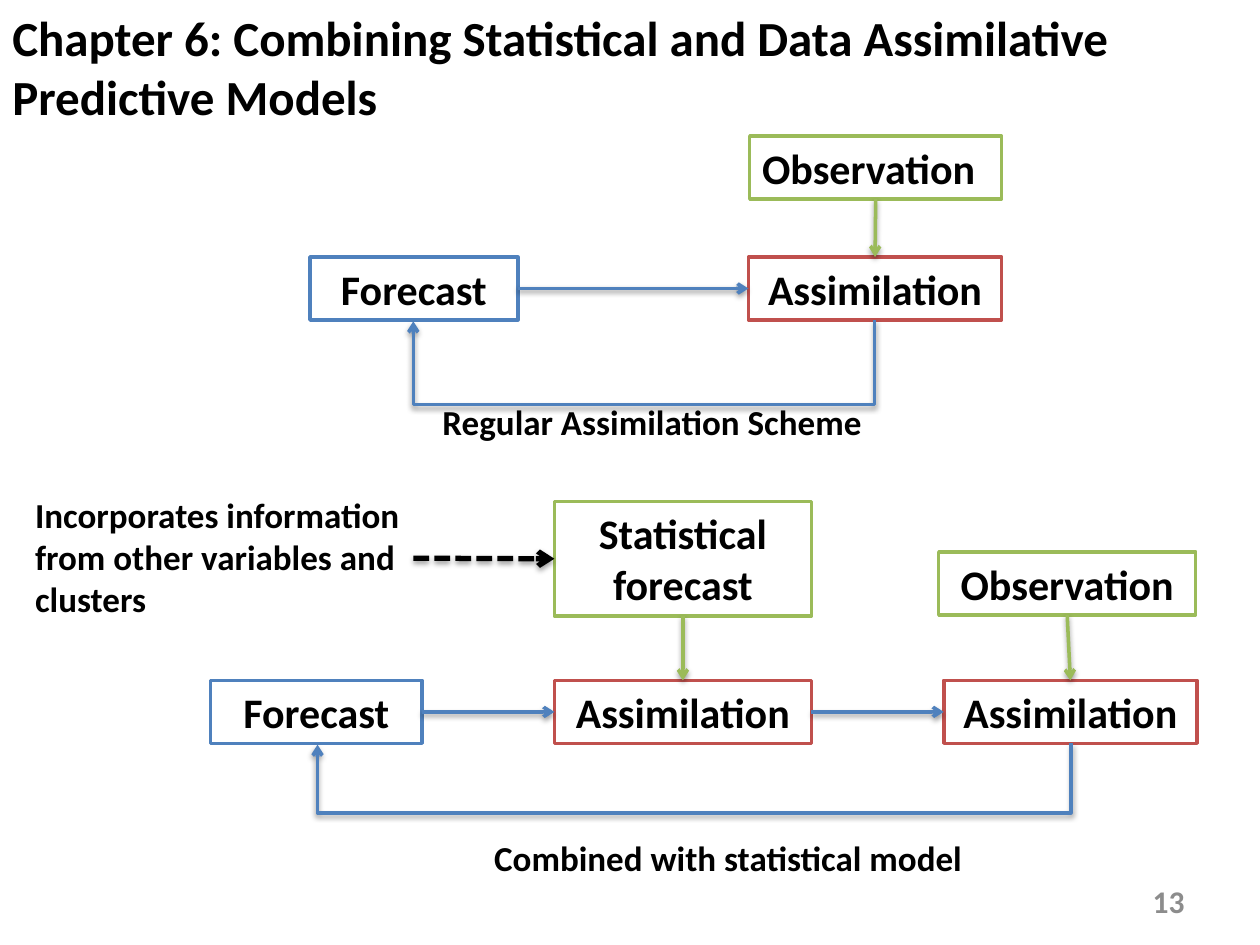
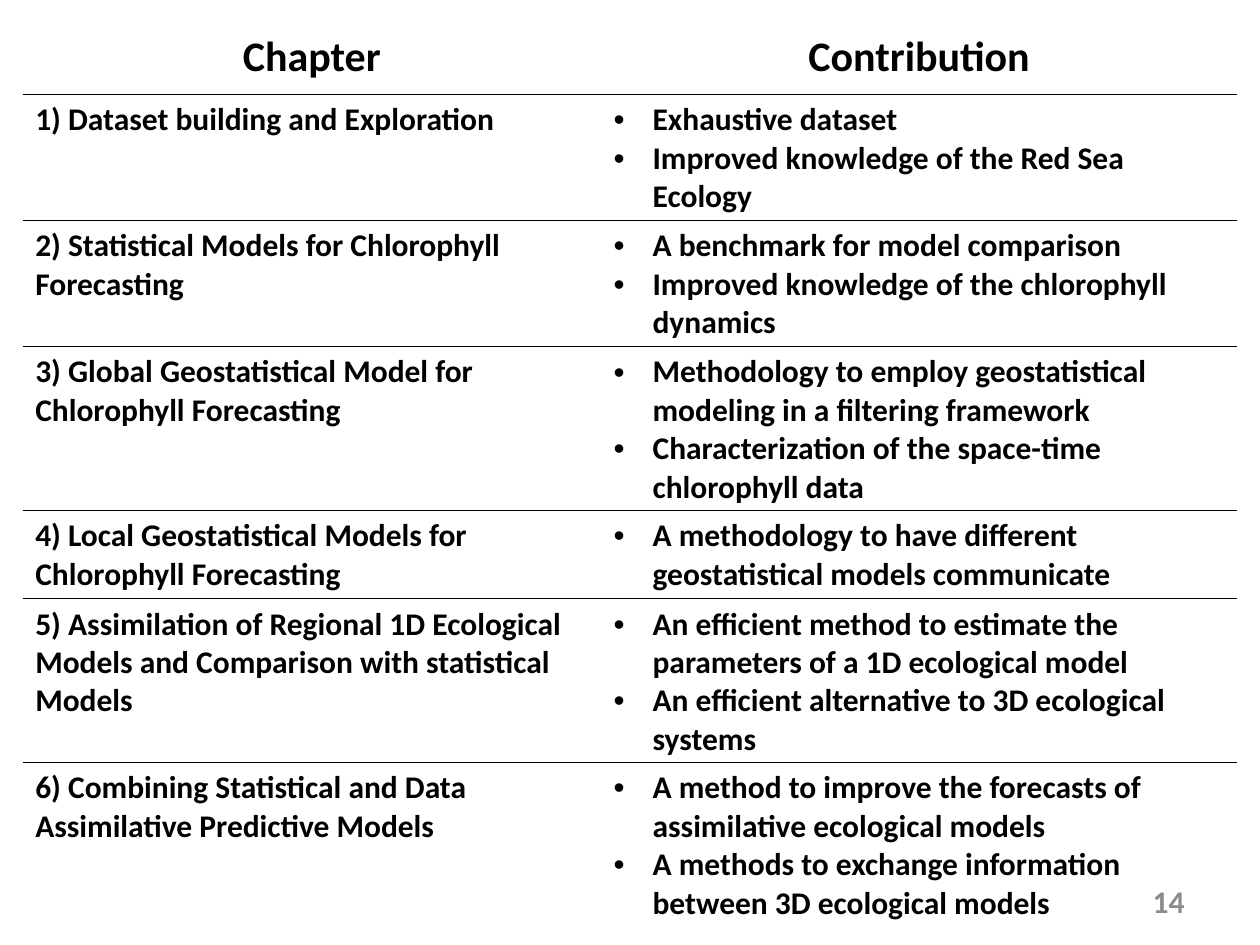
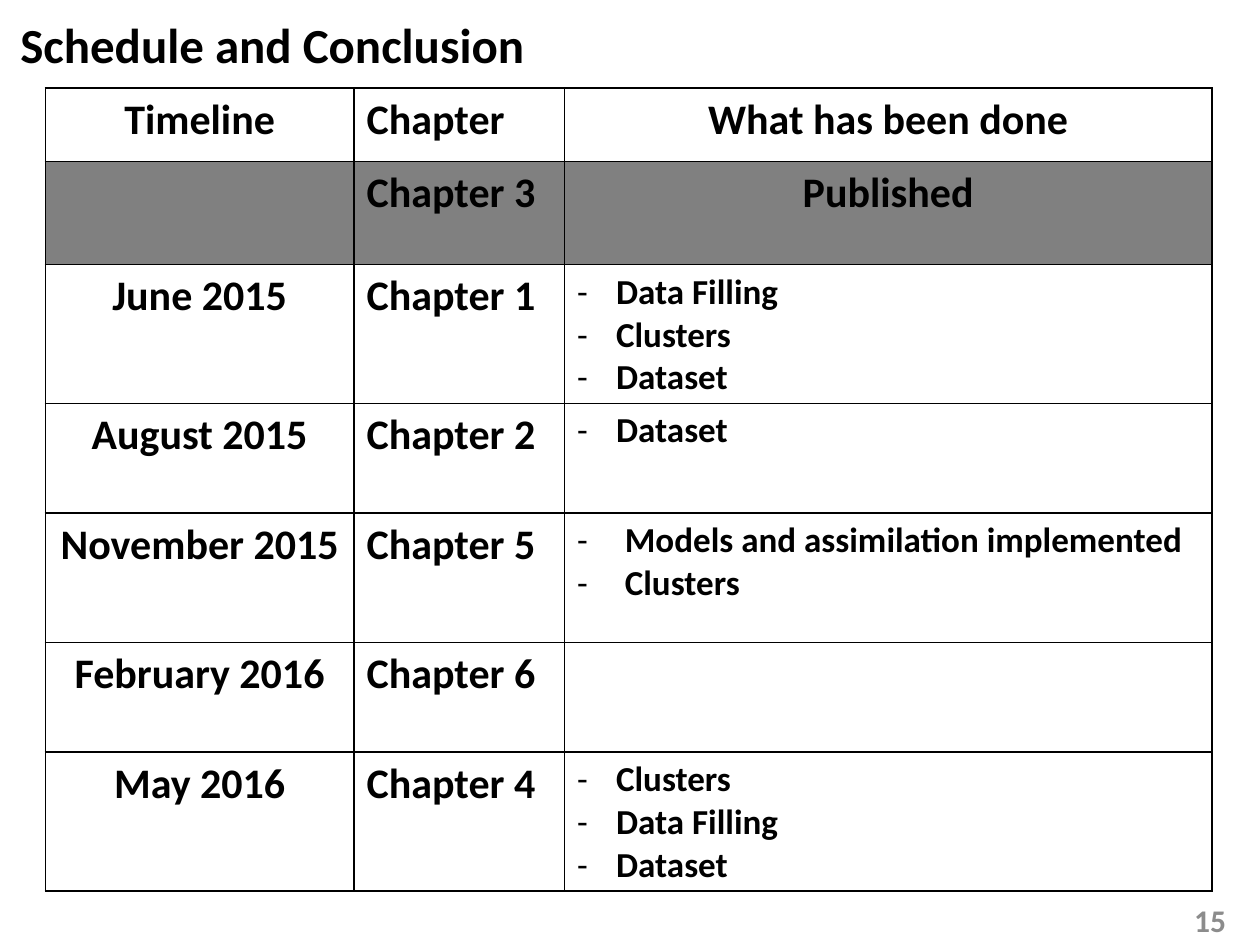
from lxml import etree
from pptx import Presentation
from pptx import util as u
from pptx.dml import color
from pptx.enum import dml, shapes, text
from pptx.oxml import ns

FONT = "Calibri"
BLACK, WHITE, GREY, PALE = "000000", "FFFFFF", "808080", "8C8C8C"
BLUE, RED, GREEN = "4F81BD", "C0504D", "9BBB59"
LEFT, MID, RIGHT = text.PP_ALIGN.LEFT, text.PP_ALIGN.CENTER, text.PP_ALIGN.RIGHT
NO_STYLE = "{2D5ABB26-0587-4C30-8999-92F81FD0307C}"
DROP = 0.01

TASKS = [
    ("1) Dataset building and Exploration",
     ["Exhaustive dataset", "Improved knowledge of the Red Sea Ecology"]),
    ("2) Statistical Models for Chlorophyll Forecasting",
     ["A benchmark for model comparison",
      "Improved knowledge of the chlorophyll dynamics"]),
    ("3) Global Geostatistical Model for Chlorophyll Forecasting",
     ["Methodology to employ geostatistical modeling in a filtering framework",
      "Characterization of the space-time chlorophyll data"]),
    ("4) Local Geostatistical Models for Chlorophyll Forecasting",
     ["A methodology to have different geostatistical models communicate"]),
    ("5) Assimilation of Regional 1D Ecological Models and Comparison with statistical Models",
     ["An efficient method to estimate the parameters of a 1D ecological model",
      "An efficient alternative to 3D ecological systems"]),
    ("6) Combining Statistical and Data Assimilative Predictive Models",
     ["A method to improve the forecasts of assimilative ecological models",
      "A methods to exchange information between 3D ecological models"]),
]

PLAN = [
    ("June 2015", "Chapter 1", ["Data Filling", "Clusters", "Dataset"], 0.31),
    ("August 2015", "Chapter 2", ["Dataset"], 0.31),
    ("November 2015", "Chapter 5",
     ["Models and assimilation implemented", "Clusters"], 0.38),
    ("February 2016", "Chapter 6", [""], 0),
    ("May 2016", "Chapter 4", ["Clusters", "Data Filling", "Dataset"], 0.31),
]


def rgb(code):
    """Turn a hex string into a colour."""
    return color.RGBColor.from_string(code)


def node(parent, tag, **attrs):
    """Append a drawing element with its attributes."""
    return etree.SubElement(parent, ns.qn("a:" + tag), attrs)


def write(frame, lines, size, align=LEFT, tint=BLACK, mark="", indent=0.31):
    """Fill a text frame with bold lines, with bullets if a mark is given."""
    frame.word_wrap = True
    for i, line in enumerate(lines):
        para = frame.add_paragraph() if i else frame.paragraphs[0]
        if mark:
            props = para._p.get_or_add_pPr()
            props.set("marL", str(u.Inches(indent)))
            props.set("indent", str(-u.Inches(indent)))
            node(props, "buFont", typeface="Arial" if mark == "•" else FONT)
            node(props, "buChar", char=mark)
        para.text = line
        para.alignment = align
        font = para.font
        font.name, font.size, font.bold = FONT, u.Pt(size), True
        font.color.rgb = rgb(tint)


def label(slide, line, x, y, w, h, size=20, align=LEFT, tint=BLACK,
          anchor=text.MSO_ANCHOR.TOP):
    """Add a text box."""
    box = slide.shapes.add_textbox(*map(u.Inches, (x, y, w, h)))
    box.text_frame.vertical_anchor = anchor
    write(box.text_frame, [line], size, align, tint)


def title(slide, line, y, w, h, align=LEFT):
    """Add the slide title."""
    label(slide, line, 0, y, w, h, 28, align, anchor=text.MSO_ANCHOR.MIDDLE)


def number(slide, value, x=7.17, y=6.95):
    """Add the page number."""
    label(slide, str(value), x, y, 2.33, 0.4, 18, RIGHT, PALE,
          text.MSO_ANCHOR.MIDDLE)


def block(slide, line, tint, x, y, w, h=0.5, align=MID):
    """Add an outlined step of the scheme."""
    rect = slide.shapes.add_shape(shapes.MSO_SHAPE.RECTANGLE,
                                  *map(u.Inches, (x, y, w, h)))
    rect.shadow.inherit = False
    rect.fill.solid()
    rect.fill.fore_color.rgb = rgb(WHITE)
    rect.line.color.rgb = rgb(tint)
    rect.line.width = u.Pt(2)
    rect.text_frame.vertical_anchor = text.MSO_ANCHOR.TOP
    write(rect.text_frame, [line], 24, align)
    return rect


def finish(link, tint, width=2):
    """Give a connector its colour, arrowhead and soft shadow."""
    link.line.color.rgb = rgb(tint)
    link.line.width = u.Pt(width)
    node(link.line._get_or_add_ln(), "tailEnd", type="arrow")
    effects = node(link._element.spPr, "effectLst")
    cast = node(effects, "outerShdw", blurRad=str(u.Pt(3.1)),
                dist=str(u.Pt(1.6)), dir="5400000", rotWithShape="0")
    node(node(cast, "srgbClr", val=BLACK), "alpha", val="38000")


def arrow(slide, start, out, end, into, tint):
    """Join two steps with a straight arrow."""
    link = slide.shapes.add_connector(shapes.MSO_CONNECTOR.STRAIGHT, 0, 0, 0, 0)
    link.begin_connect(start, out)
    link.end_connect(end, into)
    finish(link, tint)


def loop(slide, right, left, y, depth):
    """Add a feedback arrow that runs down, left and up again."""
    span = right - left
    link = slide.shapes.add_connector(shapes.MSO_CONNECTOR.ELBOW, 0, 0, 0, 0)
    link.left = u.Inches((right + left - DROP) / 2)
    link.top = u.Inches(y + (DROP - span) / 2)
    link.width, link.height = u.Inches(DROP), u.Inches(span)
    props = link._element.spPr
    props.find(ns.qn("a:xfrm")).set("rot", "5400000")
    guides = props.find(ns.qn("a:prstGeom")).find(ns.qn("a:avLst"))
    node(guides, "gd", name="adj1", fmla=f"val {round(depth / DROP * 100000)}")
    finish(link, BLUE)


def grid(slide, x, y, cols, rows):
    """Add a plain table with the given column widths and row heights."""
    frame = slide.shapes.add_table(len(rows), len(cols), *map(
        u.Inches, (x, y, sum(cols), sum(rows))))
    table = frame.table
    table.first_row = table.horz_banding = False
    table._tbl.tblPr.find(ns.qn("a:tableStyleId")).text = NO_STYLE
    for col, width in zip(table.columns, cols):
        col.width = u.Inches(width)
    for row, height in zip(table.rows, rows):
        row.height = u.Inches(height)
    return table


def style(cell, sides, fill=None):
    """Rule the named sides of a cell and set its fill."""
    props = cell._tc.get_or_add_tcPr()
    for side in sides:
        line = node(props, "ln" + side, w=str(u.Pt(1)))
        node(node(line, "solidFill"), "srgbClr", val=BLACK)
    if fill:
        cell.fill.solid()
        cell.fill.fore_color.rgb = rgb(fill)
    else:
        cell.fill.background()


def scheme(slide):
    """Draw the regular and the combined assimilation schemes."""
    title(slide, "Chapter 6: Combining Statistical and Data Assimilative "
          "Predictive Models", -0.02, 10, 1.1)
    cast = block(slide, "Forecast", BLUE, 2.46, 2.04, 1.65)
    blend = block(slide, "Assimilation", RED, 5.94, 2.04, 2.01)
    watch = block(slide, "Observation", GREEN, 5.95, 1.08, 2, align=LEFT)
    arrow(slide, cast, 3, blend, 1, BLUE)
    arrow(slide, watch, 2, blend, 0, GREEN)
    loop(slide, 6.94, 3.28, 2.54, 0.68)
    label(slide, "Regular Assimilation Scheme", 2.92, 3.13, 4.51, 0.44, align=MID)

    cast = block(slide, "Forecast", BLUE, 1.67, 5.4, 1.68)
    first = block(slide, "Assimilation", RED, 4.4, 5.4, 2.04)
    last = block(slide, "Assimilation", RED, 7.49, 5.4, 2.01)
    watch = block(slide, "Observation", GREEN, 7.45, 4.38, 2.04)
    stat = block(slide, "Statistical forecast", GREEN, 4.4, 3.98, 2.04, 0.91)
    arrow(slide, cast, 3, first, 1, BLUE)
    arrow(slide, first, 3, last, 1, BLUE)
    arrow(slide, watch, 2, last, 0, GREEN)
    arrow(slide, stat, 2, first, 0, GREEN)
    loop(slide, 8.5, 2.52, 5.9, 0.56)
    label(slide, "Combined with statistical model", 3.35, 6.59, 4.86, 0.44, align=MID)
    number(slide, 13)

    label(slide, "Incorporates information from other variables and clusters",
          0.18, 3.87, 3.1, 1.11)
    dash = slide.shapes.add_connector(shapes.MSO_CONNECTOR.STRAIGHT, *map(
        u.Inches, (3.28, 4.43, 4.4, 4.43)))
    dash.end_connect(stat, 1)
    dash.line.dash_style = dml.MSO_LINE.SQUARE_DOT
    finish(dash, BLACK, 3)


def gains(slide):
    """List what each chapter contributes."""
    number(slide, 14)
    rows = [0.55, 0.96, 0.96, 1.24, 0.69, 1.22, 1.15]
    table = grid(slide, 0.18, 0.2, [4.59, 5.05], rows)
    for i, name in enumerate(("Chapter", "Contribution")):
        write(table.cell(0, i).text_frame, [name], 24, MID)
    for i, (name, points) in enumerate(TASKS, 1):
        write(table.cell(i, 0).text_frame, [name], 18)
        write(table.cell(i, 1).text_frame, points, 18, mark="•")
    for i in range(len(rows)):
        sides = ["T"] * (i > 0) + ["B"] * (i < len(rows) - 1)
        for cell in table.rows[i].cells:
            style(cell, sides)


def dates(slide):
    """Show the schedule of the chapters."""
    title(slide, "Schedule and Conclusion", 0, 4.32, 0.7, MID)
    table = grid(slide, 0.36, 0.7, [2.45, 1.67, 5.14],
                 [0.58, 0.82, 1.07, 0.87, 1.03, 0.87, 1.07])
    heads = [("Timeline", "Chapter", "What has been done"),
             ("", "Chapter 3", "Published")]
    for i, names in enumerate(heads):
        for j, name in enumerate(names):
            write(table.cell(i, j).text_frame, [name], 24, LEFT if j == 1 else MID)
    for i, (date, name, points, indent) in enumerate(PLAN, len(heads)):
        write(table.cell(i, 0).text_frame, [date], 24, MID)
        write(table.cell(i, 1).text_frame, [name], 24)
        write(table.cell(i, 2).text_frame, points, 20,
              mark="-" if indent else "", indent=indent)
    for i, row in enumerate(table.rows):
        for cell in row.cells:
            style(cell, "LRTB", GREY if i == 1 else None)
    number(slide, 15, 7.5, 7.1)


def main():
    """Build the deck."""
    deck = Presentation()
    deck.slide_width, deck.slide_height = u.Inches(10), u.Inches(7.5)
    for draw in (scheme, gains, dates):
        draw(deck.slides.add_slide(deck.slide_layouts[6]))
    deck.save("out.pptx")


if __name__ == "__main__":
    main()
